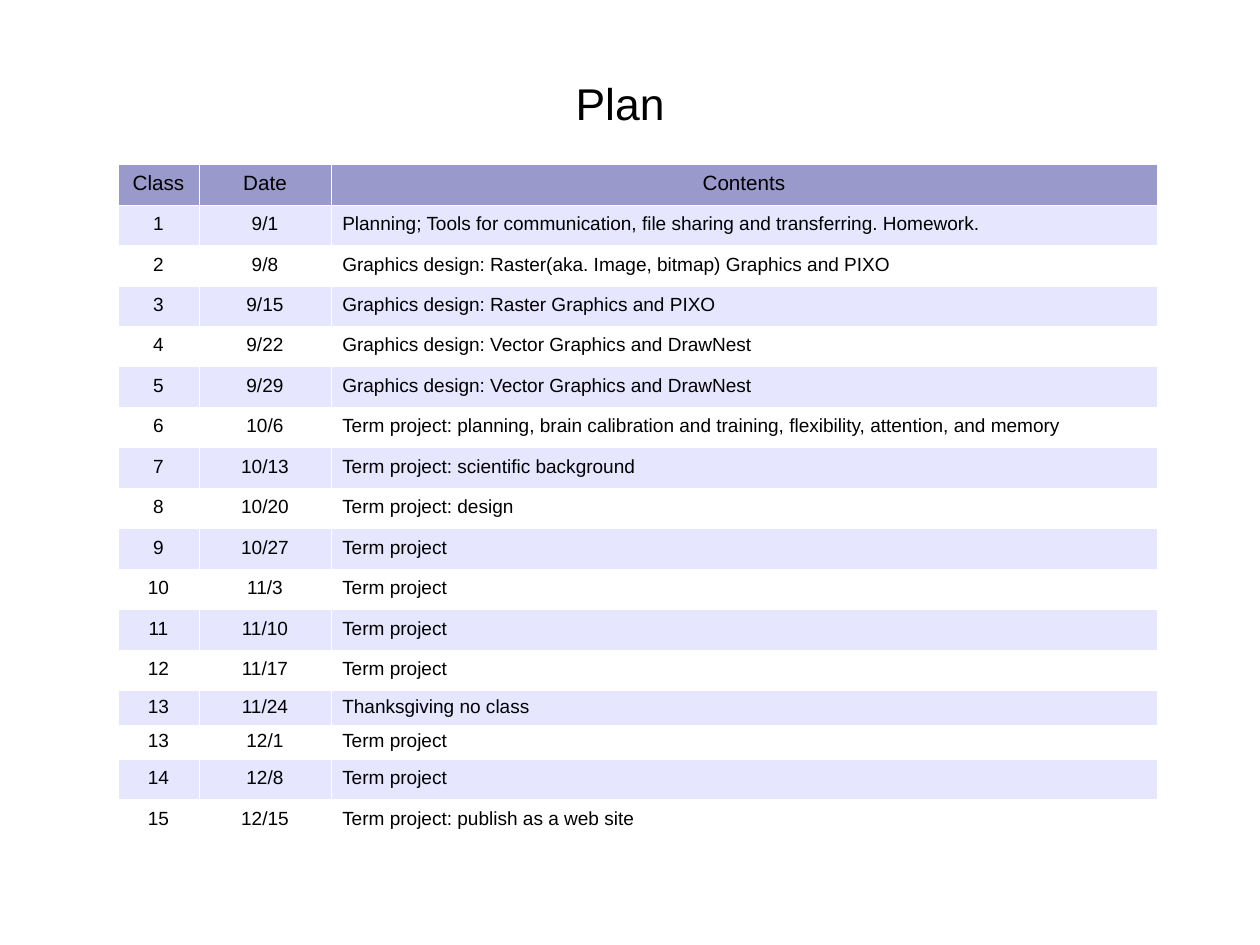
"""Build the class plan slide: a title above a schedule table."""
from lxml.etree import SubElement as Sub
from pptx import Presentation
from pptx.dml.color import RGBColor
from pptx.enum.text import MSO_ANCHOR as Anchor, MSO_AUTO_SIZE as Fit, PP_ALIGN as Align
from pptx.oxml.ns import qn
from pptx.util import Pt

TITLE = "Plan"
HEAD = ("Class", "Date", "Contents")
ROWS = [
    ("1", "9/1", "Planning; Tools for communication, file sharing and transferring. Homework."),
    ("2", "9/8", "Graphics design: Raster(aka. Image, bitmap) Graphics and PIXO"),
    ("3", "9/15", "Graphics design: Raster Graphics and PIXO"),
    ("4", "9/22", "Graphics design: Vector Graphics and DrawNest"),
    ("5", "9/29", "Graphics design: Vector Graphics and DrawNest"),
    ("6", "10/6", "Term project: planning, brain calibration and training, flexibility, attention, and memory"),
    ("7", "10/13", "Term project: scientific background"),
    ("8", "10/20", "Term project: design"),
    ("9", "10/27", "Term project"),
    ("10", "11/3", "Term project"),
    ("11", "11/10", "Term project"),
    ("12", "11/17", "Term project"),
    ("13", "11/24", "Thanksgiving no class"),
    ("13", "12/1", "Term project"),
    ("14", "12/8", "Term project"),
    ("15", "12/15", "Term project: publish as a web site"),
]

FONT = "Arial"
BLACK = RGBColor(0x00, 0x00, 0x00)
WHITE = RGBColor(0xFF, 0xFF, 0xFF)
PURPLE = RGBColor(0x99, 0x99, 0xCC)
LILAC = RGBColor(0xE6, 0xE6, 0xFF)

WIDE, HIGH = 793.7, 595.28
WIDTHS = (51.2, 83, 520.3)
TALL, SHORT = 25.5, 21.7
SHORT_ROWS = (13, 14)
EDGE = Pt(0.06)


def style(para, size, align, lead):
    """Format one paragraph and its runs."""
    para.alignment = align
    para.line_spacing = lead
    for run in para.runs:
        run.font.size = Pt(size)
        run.font.name = FONT
        run.font.color.rgb = BLACK


def border(cell):
    """Draw thin white lines on all four sides of a cell."""
    props = cell._tc.get_or_add_tcPr()
    for side in ("a:lnL", "a:lnR", "a:lnT", "a:lnB"):
        line = Sub(props, qn(side), w=str(EDGE))
        fill = Sub(line, qn("a:solidFill"))
        Sub(fill, qn("a:srgbClr"), val=str(WHITE))


def add_title(slide):
    """Place the title in its placeholder."""
    title = slide.shapes.title
    title.left, title.top, title.width, title.height = Pt(147.6), Pt(45), Pt(486), Pt(41)
    frame = title.text_frame
    frame.text = TITLE
    frame.auto_size = Fit.NONE
    frame.vertical_anchor = Anchor.MIDDLE
    frame.margin_left = frame.margin_right = frame.margin_bottom = 0
    frame.margin_top = Pt(2)
    style(frame.paragraphs[0], 28, Align.CENTER, 0.93)


def add_plan(slide):
    """Add the schedule table."""
    lines = [HEAD, *ROWS]
    highs = [SHORT if i in SHORT_ROWS else TALL for i in range(len(lines))]
    frame = slide.shapes.add_table(len(lines), len(HEAD), Pt(74.2), Pt(103.5),
                                   Pt(sum(WIDTHS)), Pt(sum(highs)))
    table = frame.table
    table.first_row = table.horz_banding = False
    for col, width in zip(table.columns, WIDTHS):
        col.width = Pt(width)
    for i, (line, high) in enumerate(zip(lines, highs)):
        table.rows[i].height = Pt(high)
        shade = PURPLE if i == 0 else LILAC if i % 2 else WHITE
        for j, text in enumerate(line):
            cell = table.cell(i, j)
            cell.text_frame.text = text
            cell.vertical_anchor = Anchor.MIDDLE
            border(cell)
            cell.fill.solid()
            cell.fill.fore_color.rgb = shade
            para = cell.text_frame.paragraphs[0]
            mid = i == 0 or j < 2
            style(para, 12 if i else 13, Align.CENTER if mid else Align.LEFT, 0.87)
            if mid:
                para.space_before = para.space_after = Pt(2.9)


def main():
    """Make the deck and save it."""
    deck = Presentation()
    deck.slide_width, deck.slide_height = Pt(WIDE), Pt(HIGH)
    slide = deck.slides.add_slide(deck.slide_layouts.get_by_name("Title Only"))
    add_title(slide)
    add_plan(slide)
    deck.save("out.pptx")


if __name__ == "__main__":
    main()
